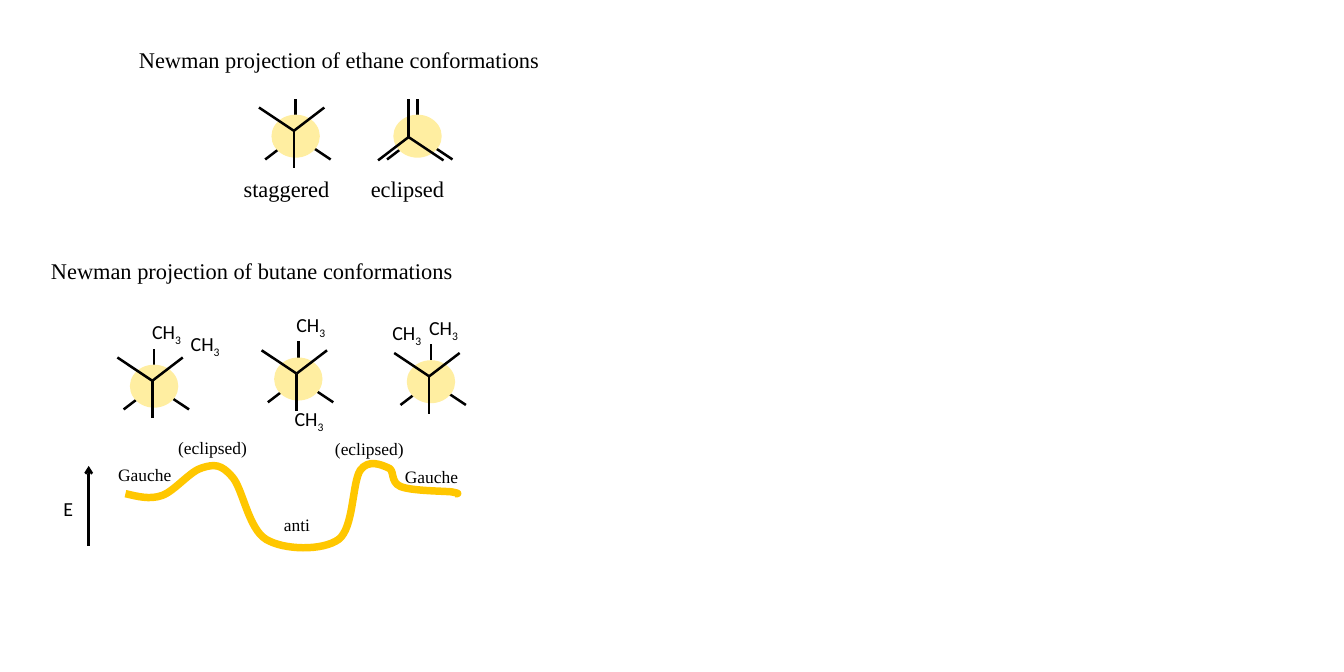
from typing import NamedTuple

from lxml import etree
from pptx import Presentation
from pptx.dml.color import RGBColor
from pptx.enum import shapes, text
from pptx.oxml import ns
from pptx.util import Inches, Pt

HUES = {"ink": "000000", "disc": "FFEEA1", "curve": "FFC700"}
SERIF, SANS = "Times New Roman", "Calibri"
BONDS = [(0, -0.42), (0.39, 0.26), (-0.34, 0.26)]


class Newman(NamedTuple):
    x: float
    y: float
    eclipsed: bool = False


class Label(NamedTuple):
    words: str
    x: float
    y: float
    wide: float
    high: float
    size: int
    font: str = SERIF
    sub: str = ""


NEWMANS = [
    Newman(4.66, 1.52, eclipsed=True),
    Newman(3.3, 1.52),
    Newman(3.33, 4.23),
    Newman(4.81, 4.26),
    Newman(1.72, 4.31),
]
METHYLS = [(3.21, 3.44), (3.19, 4.49), (4.69, 3.47), (4.28, 3.53), (1.6, 3.52), (2.03, 3.65)]
TITLE = Label("Newman projection of ethane conformations", 1.45, 0.47, 5.56, 0.4, 18)
LABELS = [
    *[Label("CH", x, y, 0.52, 0.41, 16, SANS, sub="3") for x, y in METHYLS],
    Label("E", 0.61, 5.49, 0.31, 0.37, 16, SANS),
    Label("staggered", 2.62, 1.9, 1.35, 0.4, 18),
    Label("eclipsed", 4.04, 1.9, 1.17, 0.4, 18),
    Label("Newman projection of butane conformations", 0.47, 2.82, 5.58, 0.4, 18),
    Label("anti", 3.07, 5.69, 0.56, 0.34, 14),
    Label("Gauche", 4.42, 5.15, 0.89, 0.34, 14),
    Label("Gauche", 1.22, 5.13, 0.89, 0.34, 14),
    Label("(eclipsed)", 1.89, 4.83, 1.09, 0.34, 14),
    Label("(eclipsed)", 3.64, 4.84, 1.09, 0.34, 14),
]
# Curve frame, start point, then two handles and an end point for each Bezier piece
FRAME = (1.4, 5.17, 3.71, 0.94)
START = (1.4, 5.51)
PIECES = [
    ((1.53, 5.54), (1.67, 5.58), (1.81, 5.53)),
    ((1.95, 5.48), (2.13, 5.25), (2.26, 5.22)),
    ((2.39, 5.18), (2.47, 5.18), (2.59, 5.32)),
    ((2.71, 5.45), (2.77, 5.9), (2.97, 6.02)),
    ((3.17, 6.14), (3.6, 6.15), (3.78, 6.02)),
    ((3.95, 5.89), (3.93, 5.39), (4.02, 5.25)),
    ((4.11, 5.12), (4.26, 5.19), (4.33, 5.22)),
    ((4.41, 5.24), (4.35, 5.38), (4.47, 5.43)),
    ((4.59, 5.48), (4.94, 5.48), (5.04, 5.49)),
    ((5.14, 5.51), (5.11, 5.51), (5.08, 5.51)),
]


def paint(name: str) -> RGBColor:
    return RGBColor.from_string(HUES[name])


def write(box, words: str, *, size: int, font: str, sub: str = "") -> None:
    frame = box.text_frame
    frame.word_wrap = False
    frame.auto_size = text.MSO_AUTO_SIZE.SHAPE_TO_FIT_TEXT
    frame.vertical_anchor = text.MSO_ANCHOR.TOP
    para = frame.paragraphs[0]
    para.alignment = text.PP_ALIGN.LEFT
    para.line_spacing = 1.0
    for part in filter(None, (words, sub)):
        run = para.add_run()
        run.text = part
        run.font.size, run.font.name = Pt(size), font
        run.font.color.rgb = paint("ink")
    if sub:
        run.font._element.set("baseline", "-25000")


def place(box, label: Label) -> None:
    box.left, box.top = Inches(label.x), Inches(label.y)
    box.width, box.height = Inches(label.wide), Inches(label.high)
    write(box, label.words, size=label.size, font=label.font, sub=label.sub)


def draw_line(tree, x: float, y: float, to_x: float, to_y: float, arrow: bool = False) -> None:
    line = tree.add_connector(
        shapes.MSO_CONNECTOR.STRAIGHT, Inches(x), Inches(y), Inches(to_x), Inches(to_y))
    line.line.color.rgb = paint("ink")
    line.line.width = Pt(2)
    props = line._element.spPr
    if arrow:
        etree.SubElement(props.find(ns.qn("a:ln")), ns.qn("a:tailEnd"), type="arrow")
    etree.SubElement(props, ns.qn("a:effectLst"))


def draw_bonds(tree, x: float, y: float, sign: int = 1) -> None:
    """Draw three bonds from a hub; sign -1 points them the other way."""
    for dx, dy in BONDS:
        draw_line(tree, x, y, x + sign * dx, y + sign * dy)


def draw_newman(tree, item: Newman) -> None:
    x, y = item.x, item.y
    draw_bonds(tree, x, y)
    disc = tree.add_shape(
        shapes.MSO_SHAPE.OVAL, Inches(x - 0.27), Inches(y - 0.24), Inches(0.54), Inches(0.48))
    disc.shadow.inherit = False
    disc.fill.solid()
    disc.fill.fore_color.rgb = paint("disc")
    disc.line.fill.background()
    if item.eclipsed:
        draw_bonds(tree, x - 0.1, y + 0.01)
    else:
        draw_bonds(tree.add_group_shape().shapes, x - 0.02, y - 0.06, sign=-1)


def bend(curve) -> None:
    """Turn the outline of straight pieces into Bezier pieces within FRAME."""
    left, top, wide, high = map(Inches, FRAME)
    curve.left, curve.top, curve.width, curve.height = left, top, wide, high
    track = next(curve._element.iter(ns.qn("a:path")))
    track.set("w", str(wide))
    track.set("h", str(high))
    for step in list(track):
        track.remove(step)
    for points in ((START,), *PIECES):
        kind = "a:moveTo" if len(points) == 1 else "a:cubicBezTo"
        step = etree.SubElement(track, ns.qn(kind))
        for x, y in points:
            etree.SubElement(
                step, ns.qn("a:pt"), x=str(Inches(x) - left), y=str(Inches(y) - top))


def draw_curve(tree) -> None:
    pen = tree.build_freeform(Inches(START[0]), Inches(START[1]))
    pen.add_line_segments([(Inches(x), Inches(y)) for *_, (x, y) in PIECES], close=False)
    curve = pen.convert_to_shape()
    bend(curve)
    curve.shadow.inherit = False
    curve.fill.background()
    curve.line.color.rgb = paint("curve")
    curve.line.width = Pt(6)


def main() -> None:
    deck = Presentation()
    deck.slide_width, deck.slide_height = Inches(15), Inches(7.5)
    slide = deck.slides.add_slide(deck.slide_layouts[5])
    tree = slide.shapes
    place(tree.title, TITLE)
    for item in NEWMANS:
        draw_newman(tree, item)
    draw_line(tree, 0.99, 6.09, 0.99, 5.2, arrow=True)
    draw_curve(tree)
    for label in LABELS:
        place(tree.add_textbox(0, 0, 0, 0), label)
    deck.save("out.pptx")


if __name__ == "__main__":
    main()
